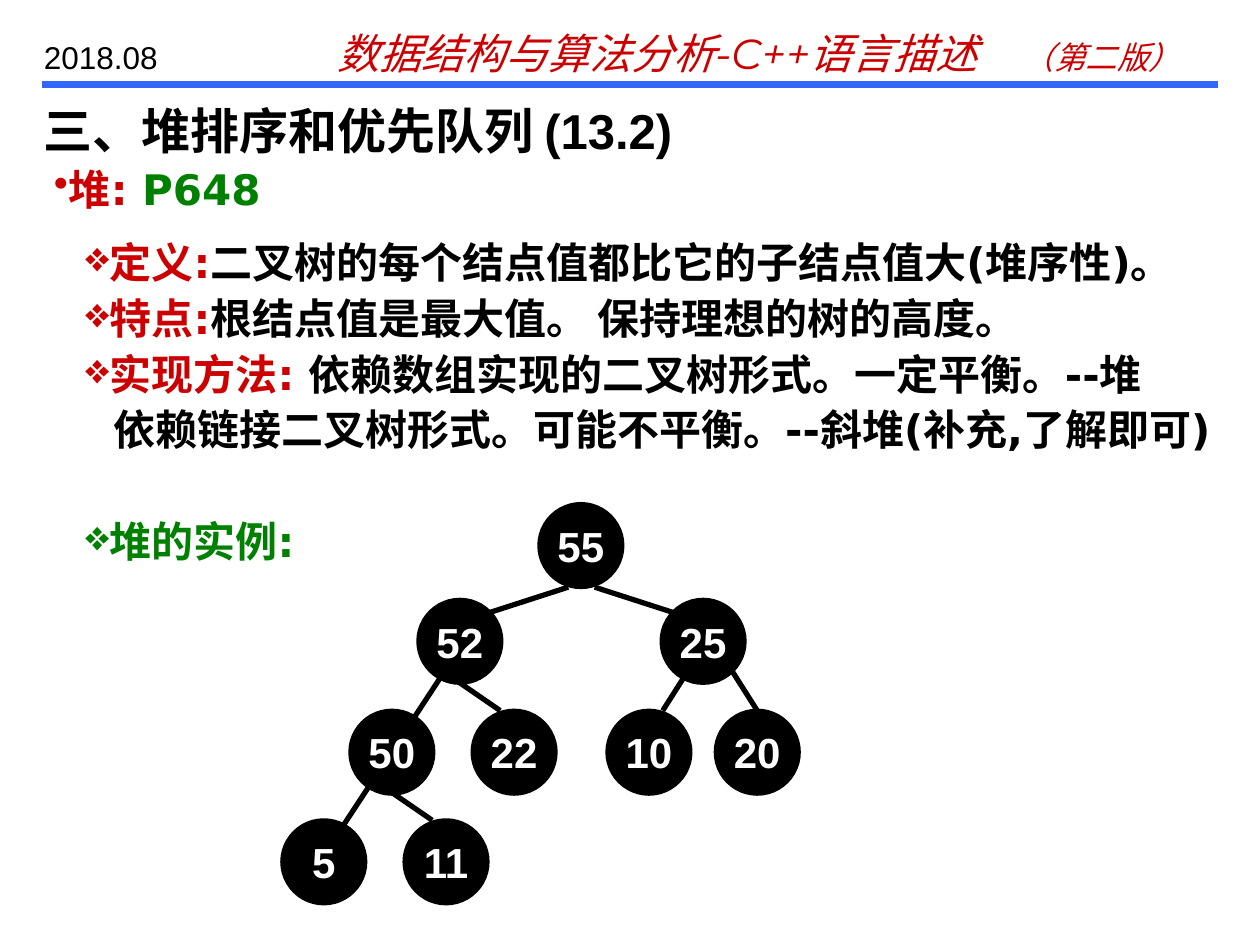
from dataclasses import dataclass

from lxml import etree
from pptx import Presentation
from pptx.dml.color import RGBColor
from pptx.enum.shapes import MSO_CONNECTOR, MSO_SHAPE
from pptx.enum.text import MSO_ANCHOR, PP_ALIGN
from pptx.oxml.ns import qn
from pptx.util import Inches, Pt

STRAIGHT = MSO_CONNECTOR.STRAIGHT
OVAL = MSO_SHAPE.OVAL
MIDDLE = MSO_ANCHOR.MIDDLE
CENTER = PP_ALIGN.CENTER


@dataclass(frozen=True)
class Theme:
    red: str = "CC0000"
    green: str = "008000"
    black: str = "000000"
    white: str = "FFFFFF"
    blue: str = "3366FF"
    latin: str = "Arial"
    body: str = "DejaVu Sans"
    header: str = "Montserrat"
    title_size: int = 28
    body_size: int = 24
    small_size: int = 18


THEME = Theme()
NODE_SIZE = 0.65
LEVELS = (4.33, 5.09, 5.97, 6.84)

# Heap nodes: value, centre x, level
NODES = [
    ("55", 4.61, 0),
    ("25", 5.58, 1), ("52", 3.65, 1),
    ("50", 3.11, 2), ("22", 4.08, 2), ("10", 5.15, 2), ("20", 6.01, 2),
    ("5", 2.57, 3), ("11", 3.54, 3),
]

# Branches: start and end points; the first runs on through 50 to 5
BRANCHES = [
    ((3.54, 5.31), (2.68, 6.62)),
    ((3.86, 4.87), (4.51, 4.66)),
    ((4.72, 4.66), (5.37, 4.87)),
    ((3.65, 5.42), (3.97, 5.64)),
    ((3.11, 6.29), (3.43, 6.51)),
    ((5.47, 5.31), (5.26, 5.64)),
    ((5.80, 5.31), (6.01, 5.64)),
]

# Definition list: runs, bullet colour, space before, first-line indent
DETAILS = [
    ([("定义:", THEME.red),
      ("二叉树的每个结点值都比它的子结点值大(堆序性)。", THEME.black)], THEME.red, 0, 0),
    ([("特点:", THEME.red),
      ("根结点值是最大值。 保持理想的树的高度。", THEME.black)], THEME.red, 3, 0),
    ([("实现方法: ", THEME.red),
      ("依赖数组实现的二叉树形式。一定平衡。--堆", THEME.black)], THEME.red, 3, 0),
    ([("依赖链接二叉树形式。可能不平衡。--斜堆(补充,了解即可)", THEME.black)], None, 3, 0.22),
    ([("堆的实例:", THEME.green)], THEME.green, 35, 0),
]


def add_span(para, text, color, font, size, bold=False, italic=False):
    span = para.add_run()
    span.text = text
    span.font.name = font
    span.font.size = Pt(size)
    span.font.bold = bold
    span.font.italic = italic
    span.font.color.rgb = RGBColor.from_string(color)


def add_box(page, left, top, width, height):
    box = page.shapes.add_textbox(Inches(left), Inches(top), Inches(width), Inches(height))
    box.text_frame.word_wrap = True
    return box.text_frame


def set_bullet(para, char, color):
    props = para._p.get_or_add_pPr()
    bullet_color = etree.SubElement(props, qn("a:buClr"))
    etree.SubElement(bullet_color, qn("a:srgbClr"), val=color)
    etree.SubElement(props, qn("a:buChar"), char=char)


def set_tab(para, position):
    tabs = etree.SubElement(para._p.get_or_add_pPr(), qn("a:tabLst"))
    etree.SubElement(tabs, qn("a:tab"), pos=str(Inches(position)), algn="l")


def add_line(page, start, end, color, width):
    line = page.shapes.add_connector(STRAIGHT, *map(Inches, start + end))
    line.line.color.rgb = RGBColor.from_string(color)
    line.line.width = Pt(width)
    etree.SubElement(line._element.spPr, qn("a:effectLst"))


def add_node(page, value, center_x, level):
    node = page.shapes.add_shape(
        OVAL, Inches(center_x - NODE_SIZE / 2), Inches(LEVELS[level] - NODE_SIZE / 2),
        Inches(NODE_SIZE), Inches(NODE_SIZE))
    node.shadow.inherit = False
    node.fill.solid()
    node.fill.fore_color.rgb = RGBColor.from_string(THEME.black)
    node.line.color.rgb = RGBColor.from_string(THEME.black)
    node.line.width = Pt(3)
    frame = node.text_frame
    frame.word_wrap = False
    frame.vertical_anchor = MIDDLE
    para = frame.paragraphs[0]
    para.alignment = CENTER
    add_span(para, value, THEME.white, THEME.latin, THEME.body_size, bold=True)


def add_header(page):
    add_line(page, (0.33, 0.67), (9.67, 0.67), THEME.blue, 4)
    para = add_box(page, 2.58, 0.17, 7, 0.5).paragraphs[0]
    set_tab(para, 5.44)
    add_span(para, "数据结构与算法分析-C++语言描述\t", THEME.red, THEME.header,
             THEME.body_size, italic=True)
    add_span(para, "（第二版）", THEME.red, THEME.header, THEME.small_size, italic=True)
    para = add_box(page, 0.25, 0.25, 1.42, 0.4).paragraphs[0]
    add_span(para, "2018.08", THEME.black, THEME.latin, THEME.small_size)


def add_headings(page):
    para = add_box(page, 0.25, 0.75, 9.75, 0.5).paragraphs[0]
    add_span(para, "三、堆排序和优先队列 (13.2)", THEME.black, THEME.latin,
             THEME.title_size, bold=True)
    para = add_box(page, 0.33, 1.25, 9.67, 0.5).paragraphs[0]
    set_bullet(para, "•", THEME.red)
    for text, color in (("堆: ", THEME.red), ("P648", THEME.green)):
        add_span(para, text, color, THEME.body, THEME.body_size, bold=True)


def add_details(page):
    frame = add_box(page, 0.58, 1.83, 9.5, 3.11)
    for index, (spans, bullet, space, indent) in enumerate(DETAILS):
        para = frame.add_paragraph() if index else frame.paragraphs[0]
        if space:
            para.space_before = Pt(space)
        if indent:
            para._p.get_or_add_pPr().set("indent", str(Inches(indent)))
        if bullet:
            set_bullet(para, "❖", bullet)
        for text, color in spans:
            add_span(para, text, color, THEME.body, THEME.body_size, bold=True)


def add_heap(page):
    for start, end in BRANCHES:
        add_line(page, start, end, THEME.black, 3)
    for value, center_x, level in NODES:
        add_node(page, value, center_x, level)


def main():
    deck = Presentation()
    deck.slide_width, deck.slide_height = Inches(10), Inches(7.5)
    page = deck.slides.add_slide(deck.slide_layouts[6])
    add_header(page)
    add_headings(page)
    add_details(page)
    add_heap(page)
    deck.save("out.pptx")


if __name__ == "__main__":
    main()
